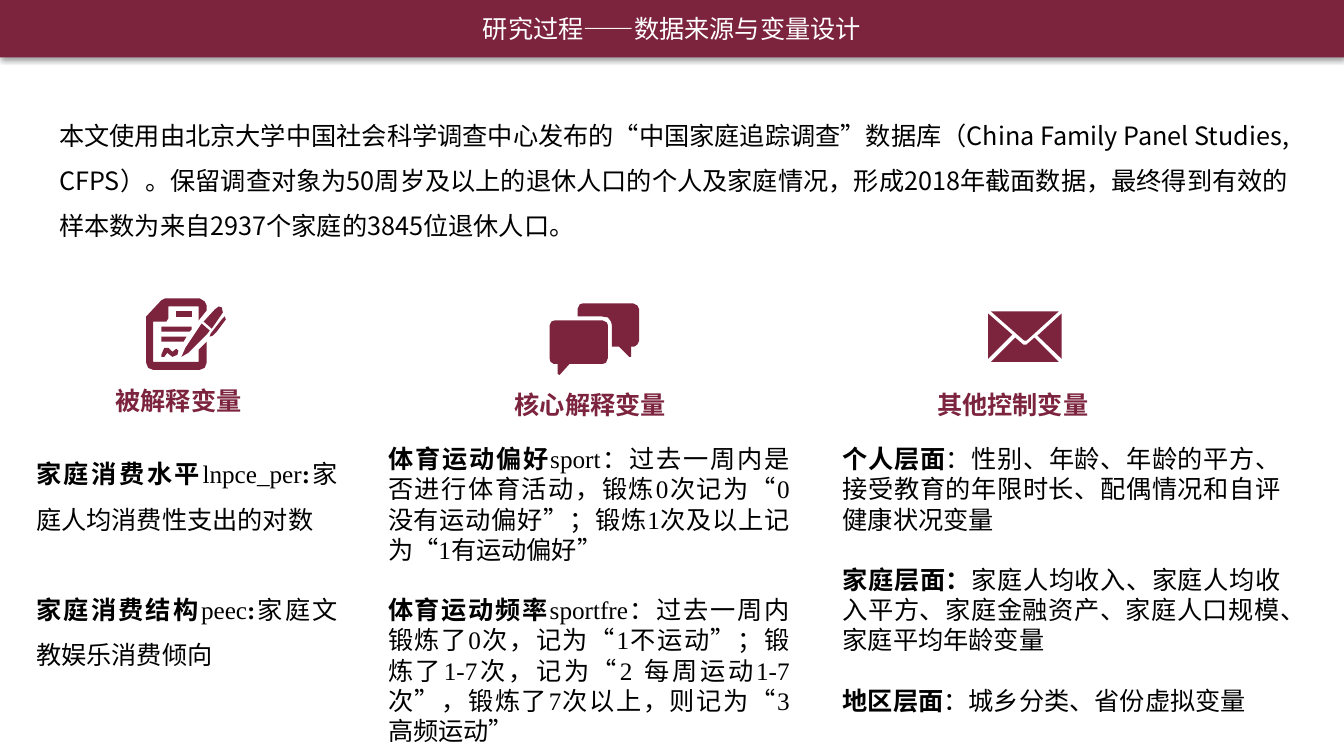
from lxml.etree import SubElement
from pptx import Presentation
from pptx.dml.color import RGBColor
from pptx.enum.text import MSO_ANCHOR, MSO_AUTO_SIZE, PP_ALIGN
from pptx.oxml.ns import qn
from pptx.util import Inches, Pt

COLORS = {"wine": "7C233E", "white": "FFFFFF", "black": "000000"}
SANS, SERIF = "Noto Sans CJK SC", "Times New Roman"


def style_paragraph(para, color, font_name=SANS, align=PP_ALIGN.CENTER, bold=None):
    para.alignment = align
    font = para.font
    font.size = Pt(18)
    font.bold = bold
    font.color.rgb = RGBColor.from_string(COLORS[color])
    font.name = font_name
    SubElement(font._element, qn("a:ea")).set("typeface", SANS)


def add_text_box(left, top, width, height):
    box = page.shapes.add_textbox(Inches(left), Inches(top), Inches(width), Inches(height))
    box.text_frame.word_wrap = True
    box.text_frame.auto_size = MSO_AUTO_SIZE.SHAPE_TO_FIT_TEXT
    return box.text_frame


deck = Presentation()
deck.slide_width, deck.slide_height = Inches(13.33), Inches(7.5)
page = deck.slides.add_slide(deck.slide_layouts[5])

# Title banner with a soft shadow below
banner = page.shapes.title
banner.left, banner.top = Inches(0), Inches(0)
banner.width, banner.height = Inches(13.33), Inches(0.57)
banner.fill.solid()
banner.fill.fore_color.rgb = RGBColor.from_string(COLORS["wine"])
effects = SubElement(banner._element.spPr, qn("a:effectLst"))
shadow = SubElement(effects, qn("a:outerShdw"), blurRad=str(Pt(4)), dist=str(Pt(1)),
                    dir="5400000", algn="t", rotWithShape="0")
shade = SubElement(shadow, qn("a:srgbClr"), val=COLORS["black"])
SubElement(shade, qn("a:alpha"), val="40000")
banner.text_frame.text = "研究过程——数据来源与变量设计"
banner.text_frame.auto_size = MSO_AUTO_SIZE.NONE
banner.text_frame.vertical_anchor = MSO_ANCHOR.MIDDLE
style_paragraph(banner.text_frame.paragraphs[0], "white")

# Icons: each part is a list of outlines, in hundredths of an inch
envelope = [
    [[(983, 309), (1050, 309), (1018, 338), (1016, 338)]],
    [[(1007, 335), (1015, 342), (1018, 342), (1026, 335), (1050, 359), (983, 359)]],
    [[(980, 311), (1004, 332), (980, 356)]],
    [[(1053, 311), (1053, 356), (1029, 333)]],
]
document = [
    [[(197, 318), (197, 304), (167, 304), (167, 316), (165, 319), (152, 319), (152, 359),
      (197, 359), (197, 347), (205, 339), (205, 360), (203, 365), (198, 367), (152, 367),
      (147, 365), (145, 360), (145, 314), (160, 298), (164, 296), (198, 296), (203, 299),
      (205, 303), (205, 308)]],
    [[(200, 321), (208, 328), (205, 332), (187, 350), (180, 354), (184, 345)]],
    [[(202, 319), (213, 307), (217, 304), (220, 305), (221, 310), (210, 326)]],
    [[(160, 324), (190, 324), (190, 327), (188, 329), (160, 329)]],
    [[(160, 334), (185, 334), (182, 339), (160, 339)]],
    [[(160, 352), (163, 345), (167, 345), (171, 349), (175, 346), (177, 348), (176, 352),
      (171, 354), (166, 350), (163, 354), (160, 354)]],
    [[(223, 314), (224, 317), (215, 329), (211, 333), (208, 334), (209, 331), (220, 317)]],
    [[(175, 309), (190, 309), (190, 314), (175, 314)]],
]
speech_bubbles = [
    [[(553, 361), (549, 361), (546, 359), (545, 355), (545, 323), (547, 319), (550, 318),
      (598, 318), (602, 320), (603, 323), (603, 355), (601, 360), (598, 361), (565, 361),
      (555, 372), (553, 371)]],
    [[(626, 344), (626, 354), (624, 354), (614, 344), (607, 344), (607, 323), (606, 319),
      (603, 315), (597, 314), (573, 314), (573, 306), (575, 302), (578, 301), (628, 301),
      (632, 303), (634, 307), (634, 338), (632, 342), (629, 344)]],
]
for icon in (envelope, document, speech_bubbles):
    group = page.shapes.add_group_shape()
    for outlines in icon:
        for (start, *rest) in outlines:
            builder = group.shapes.build_freeform(*start, scale=Inches(0.01))
            builder.add_line_segments(rest, close=True)
            part = builder.convert_to_shape()
            part.shadow.inherit = False
            part.fill.solid()
            part.fill.fore_color.rgb = RGBColor.from_string(COLORS["wine"])
            part.line.fill.background()

# Variable columns: heading, heading place, body place, line spacing, gap, (term, text) pairs
columns = [
    ("被解释变量", (0.91, 3.77, 1.72, 0.4), (0.26, 4.35, 3.19, 2.32), 1.5, 32, [
        [("家庭消费水平", True), ("lnpce_per", False), (":", True),
         ("家庭人均消费性支出的对数", False)],
        [("家庭消费结构", True), ("peec", False), (":", True),
         ("家庭文教娱乐消费倾向", False)]]),
    ("核心解释变量", (4.87, 3.81, 1.97, 0.4), (3.75, 4.35, 4.18, 3.43), 1, 21.5, [
        [("体育运动偏好", True),
         ("sport：过去一周内是否进行体育活动，锻炼0次记为“0没有运动偏好”；"
          "锻炼1次及以上记为“1有运动偏好”", False)],
        [("体育运动频率", True),
         ("sportfre：过去一周内锻炼了0次，记为“1不运动”；锻炼了1-7次，"
          "记为“2 每周运动1-7次”，锻炼了7次以上，则记为“3高频运动”", False)]]),
    ("其他控制变量", (9.06, 3.81, 1.97, 0.4), (8.26, 4.35, 4.54, 2.83), 1, 21.5, [
        [("个人层面", True),
         ("：性别、年龄、年龄的平方、接受教育的年限时长、配偶情况和自评健康状况变量", False)],
        [("家庭层面：", True),
         ("家庭人均收入、家庭人均收入平方、家庭金融资产、家庭人口规模、家庭平均年龄变量", False)],
        [("地区层面", True), ("：城乡分类、省份虚拟变量", False)]]),
]
for heading, heading_place, body_place, spacing, gap, entries in columns:
    frame = add_text_box(*heading_place)
    frame.text = heading
    style_paragraph(frame.paragraphs[0], "wine", bold=True)

    frame = add_text_box(*body_place)
    for index, entry in enumerate(entries):
        para = frame.add_paragraph() if index else frame.paragraphs[0]
        para.line_spacing = spacing
        if index:
            para.space_before = Pt(gap)
        for text, bold in entry:
            span = para.add_run()
            span.text = text
            span.font.bold = bold
        style_paragraph(para, "black", SERIF, PP_ALIGN.JUSTIFY)

# Data source paragraph
frame = add_text_box(0.49, 0.99, 12.55, 1.77)
frame.text = ("本文使用由北京大学中国社会科学调查中心发布的“中国家庭追踪调查”数据库"
              "（China Family Panel Studies, CFPS）。保留调查对象为50周岁及以上的退休人口的"
              "个人及家庭情况，形成2018年截面数据，最终得到有效的样本数为来自2937个家庭的"
              "3845位退休人口。")
frame.paragraphs[0].line_spacing = 1.5
style_paragraph(frame.paragraphs[0], "black", align=PP_ALIGN.LEFT)

deck.save("out.pptx")
